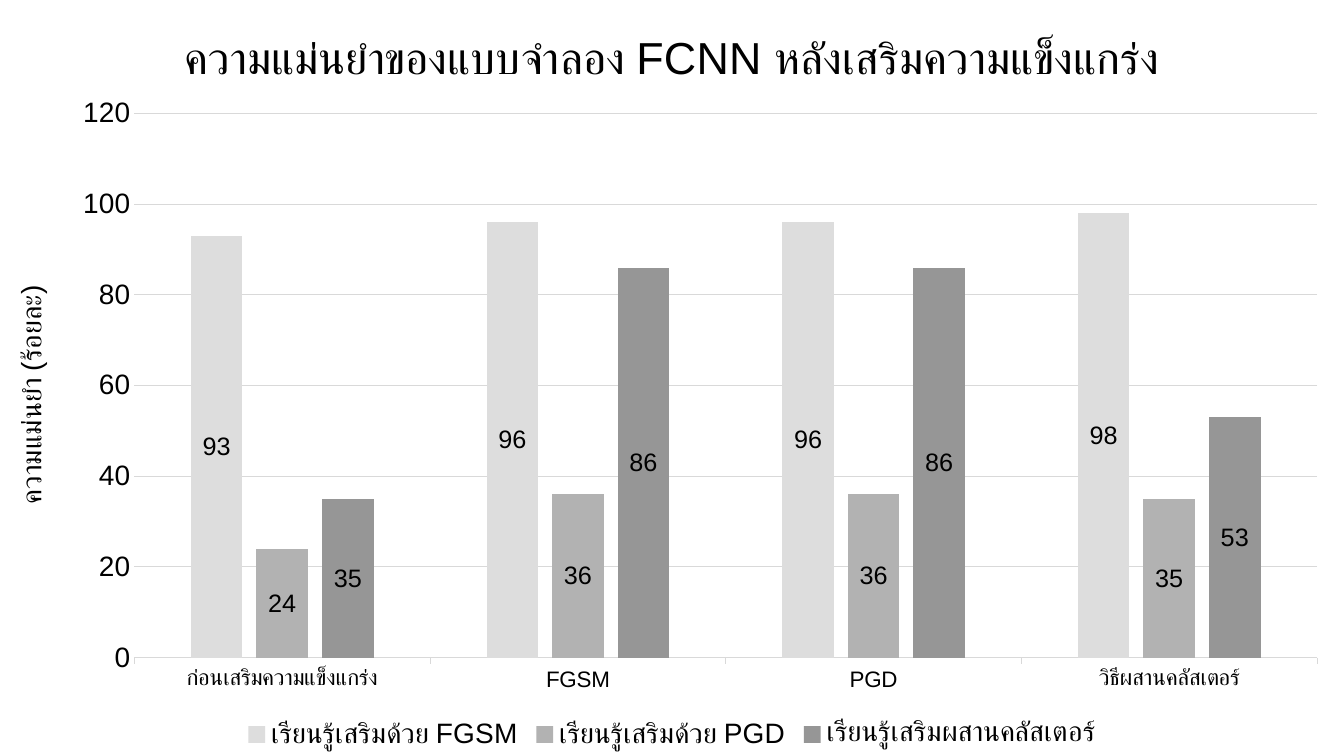
from lxml import etree
from pptx import Presentation
from pptx import util as u
from pptx.chart.data import CategoryChartData
from pptx.dml.color import RGBColor
from pptx.enum import chart as ch

TITLE = "ความแม่นยำของแบบจำลอง FCNN หลังเสริมความแข็งแกร่ง"
VALUE_TITLE = "ความแม่นยำ (ร้อยละ)"
CATEGORIES = ["ก่อนเสริมความแข็งแกร่ง", "FGSM", "PGD", "วิธีผสานคลัสเตอร์"]
SERIES = [
    ("เรียนรู้เสริมด้วย FGSM", "light", [93, 96, 96, 98]),
    ("เรียนรู้เสริมด้วย PGD", "middle", [24, 36, 36, 35]),
    ("เรียนรู้เสริมผสานคลัสเตอร์", "dark", [35, 86, 86, 53]),
]
COLORS = {"light": "DDDDDD", "middle": "B2B2B2", "dark": "969696",
          "text": "000000", "grid": "D9D9D9"}
SIZES = {"title": 32, "axis": 20, "category": 16, "label": 18}
PLOT_SHARES = {"x": 0.1, "y": 0.15, "w": 0.88, "h": 0.72}
FONT = "Arial"


def color(name):
    return RGBColor.from_string(COLORS[name])


def style_font(font, role):
    values = {"name": FONT, "size": u.Pt(SIZES[role]), "bold": False}
    for key, value in values.items():
        setattr(font, key, value)
    font.color.rgb = color("text")


def style_line(line):
    line.color.rgb = color("grid")
    line.width = u.Pt(0.75)


def write_title(owner, words, role):
    frame = owner.text_frame
    frame.text = words
    style_font(frame.paragraphs[0].runs[0].font, role)


def place_plot(chart):
    """Fix the inner plot area as shares of the chart."""
    area = chart.plots[0]._element.getparent()
    space = etree.QName(area).namespace
    for old in area.findall(f"{{{space}}}layout"):
        area.remove(old)
    layout = etree.Element(f"{{{space}}}layout")
    manual = etree.SubElement(layout, f"{{{space}}}manualLayout")
    settings = [("layoutTarget", "inner"), ("xMode", "edge"), ("yMode", "edge")]
    for tag, value in settings + list(PLOT_SHARES.items()):
        etree.SubElement(manual, f"{{{space}}}{tag}").set("val", str(value))
    area.insert(0, layout)


def add_accuracy_chart(deck, page):
    data = CategoryChartData()
    data.categories = CATEGORIES
    for name, _, values in SERIES:
        data.add_series(name, values)
    chart = page.shapes.add_chart(
        ch.XL_CHART_TYPE.COLUMN_CLUSTERED, 0, 0,
        deck.slide_width, deck.slide_height, data).chart
    style_font(chart.font, "axis")
    write_title(chart.chart_title, TITLE, "title")
    chart.chart_title.include_in_layout = False

    chart.has_legend = True
    chart.legend.position = ch.XL_LEGEND_POSITION.BOTTOM
    chart.legend.include_in_layout = False
    style_font(chart.legend.font, "axis")

    categories, values = chart.category_axis, chart.value_axis
    style_font(categories.tick_labels.font, "category")
    style_line(categories.format.line)
    categories.major_tick_mark = ch.XL_TICK_MARK.OUTSIDE
    style_font(values.tick_labels.font, "axis")
    style_line(values.major_gridlines.format.line)
    values.format.line.fill.background()
    scale = {"minimum_scale": 0, "maximum_scale": 120, "major_unit": 20,
             "major_tick_mark": ch.XL_TICK_MARK.NONE}
    for key, value in scale.items():
        setattr(values, key, value)
    write_title(values.axis_title, VALUE_TITLE, "axis")

    plot = chart.plots[0]
    for key, value in {"gap_width": 219, "overlap": -27, "vary_by_categories": False}.items():
        setattr(plot, key, value)
    for bars, (_, shade, _) in zip(plot.series, SERIES):
        bars.format.fill.solid()
        bars.format.fill.fore_color.rgb = color(shade)
        labels = bars.data_labels
        labels.show_value = True
        labels.position = ch.XL_LABEL_POSITION.CENTER
        style_font(labels.font, "label")
    place_plot(chart)


def main():
    deck = Presentation()
    deck.slide_width, deck.slide_height = u.Inches(13.33), u.Inches(7.5)
    page = deck.slides.add_slide(deck.slide_layouts[6])
    add_accuracy_chart(deck, page)
    deck.save("out.pptx")


if __name__ == "__main__":
    main()
